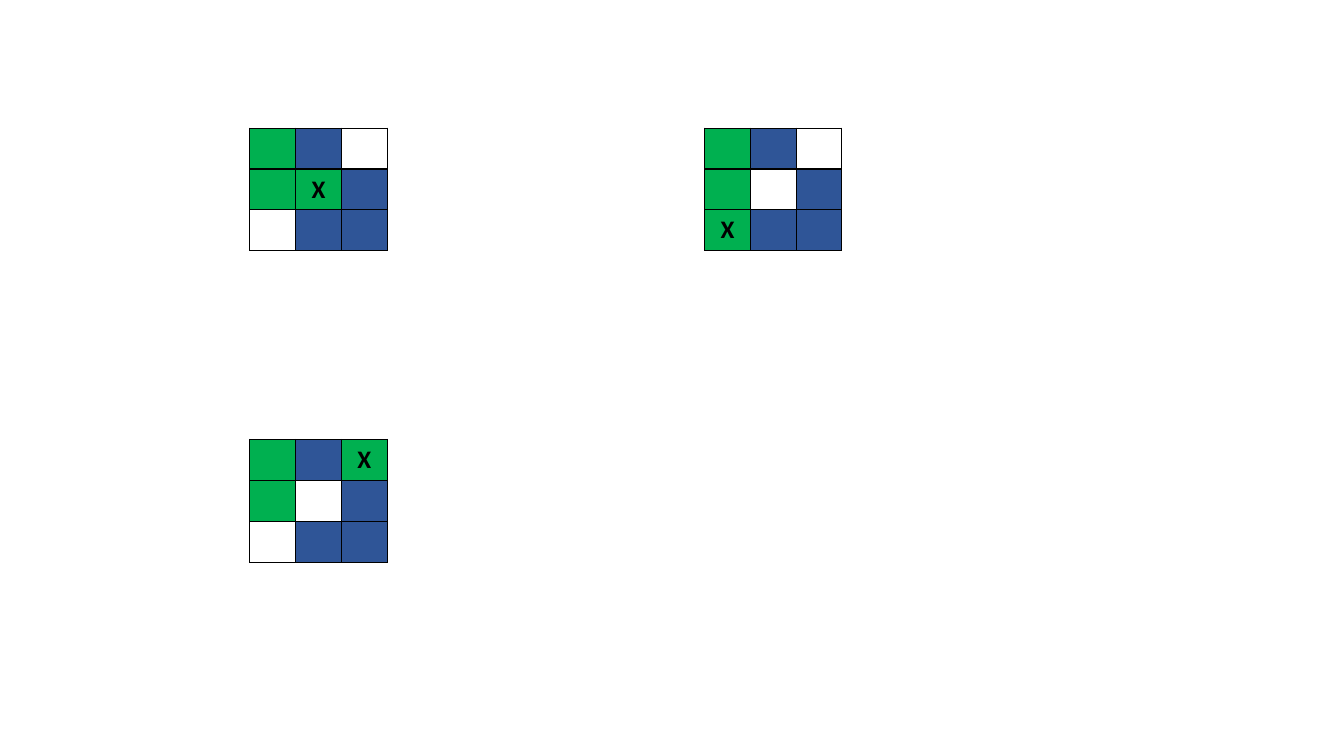
"""Build a slide with three 3 by 3 boards, each with one marked square."""
from lxml import etree
from pptx import Presentation
from pptx.dml.color import RGBColor
from pptx.enum.text import MSO_ANCHOR, PP_ALIGN
from pptx.oxml.ns import qn
from pptx.util import Pt

CENTER = PP_ALIGN.CENTER
MIDDLE = MSO_ANCHOR.MIDDLE
COLORS = {"green": "00B050", "blue": "2F5597", "white": "FFFFFF", "black": "000000"}
SQUARES = {"G": "green", "X": "green", "B": "blue", ".": "white"}
COLUMN_WIDTH = 32.7
ROW_HEIGHT = 29.2
BOARDS = [
    (178.5, 91.5, ["GB.", "GXB", ".BB"]),
    (503.3, 91.5, ["GB.", "G.B", "XBB"]),
    (178.5, 314, ["GBX", "G.B", ".BB"]),
]


def add_borders(cell):
    properties = cell._tc.get_or_add_tcPr()
    for side in ("a:lnL", "a:lnR", "a:lnT", "a:lnB"):
        line = etree.SubElement(properties, qn(side), w=str(Pt(1)))
        fill = etree.SubElement(line, qn("a:solidFill"))
        etree.SubElement(fill, qn("a:srgbClr"), val=COLORS["black"])


deck = Presentation()
deck.slide_width, deck.slide_height = Pt(960), Pt(540)
page = deck.slides.add_slide(deck.slide_layouts[6])

for left, top, rows in BOARDS:
    frame = page.shapes.add_table(
        3, 3, Pt(left), Pt(top), Pt(3 * COLUMN_WIDTH), Pt(3 * ROW_HEIGHT)
    )
    board = frame.table
    board.first_row = False
    board.horz_banding = False
    for column in board.columns:
        column.width = Pt(COLUMN_WIDTH)
    for row_index, squares in enumerate(rows):
        board.rows[row_index].height = Pt(ROW_HEIGHT)
        for column_index, square in enumerate(squares):
            cell = board.cell(row_index, column_index)
            add_borders(cell)
            cell.fill.solid()
            cell.fill.fore_color.rgb = RGBColor.from_string(COLORS[SQUARES[square]])
            cell.vertical_anchor = MIDDLE
            if square == "X":
                para = cell.text_frame.paragraphs[0]
                para.text = "X"
                para.alignment = CENTER
                font = para.runs[0].font
                font.name = "Calibri"
                font.size = Pt(18)
                font.bold = True
                font.color.rgb = RGBColor.from_string(COLORS["black"])

deck.save("out.pptx")
